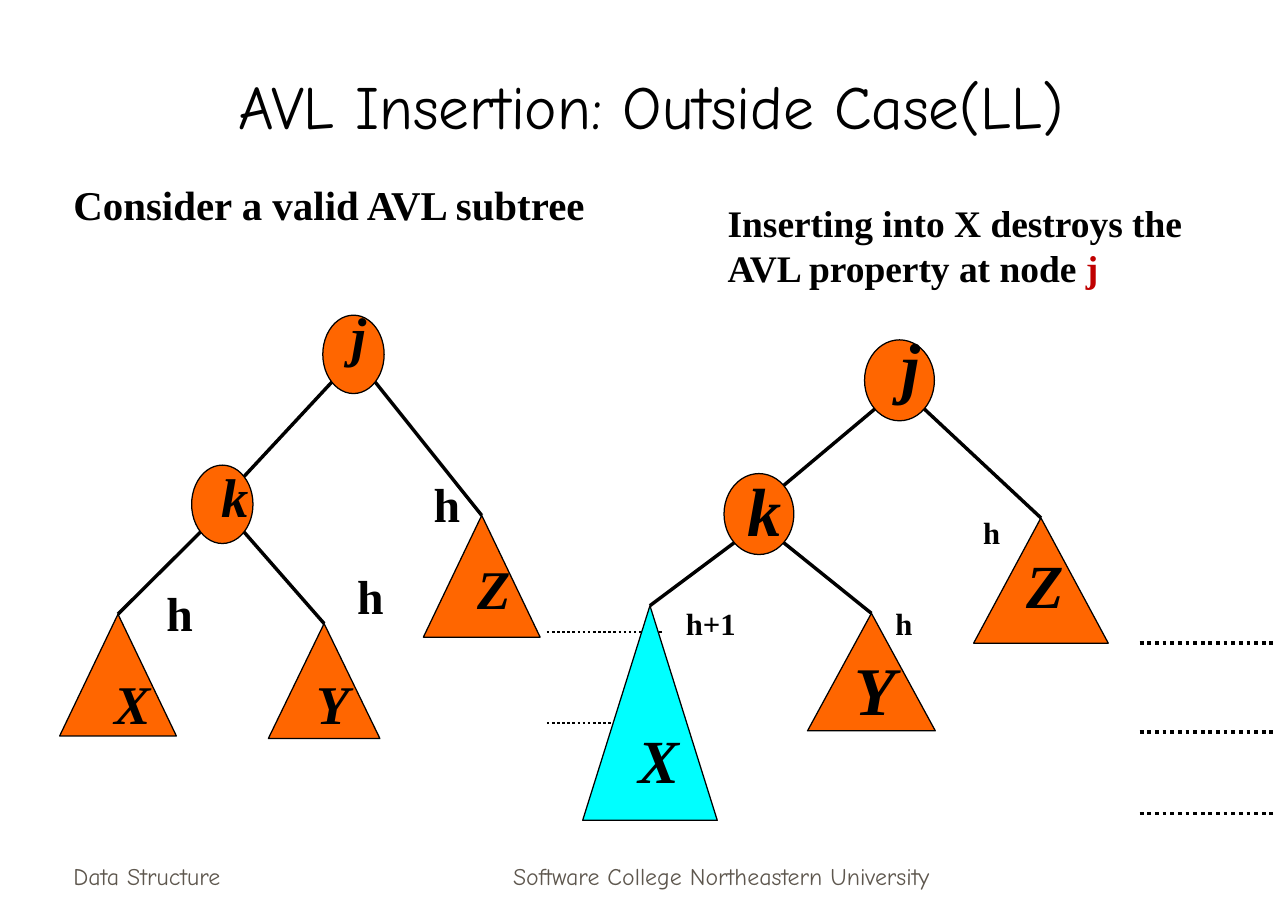
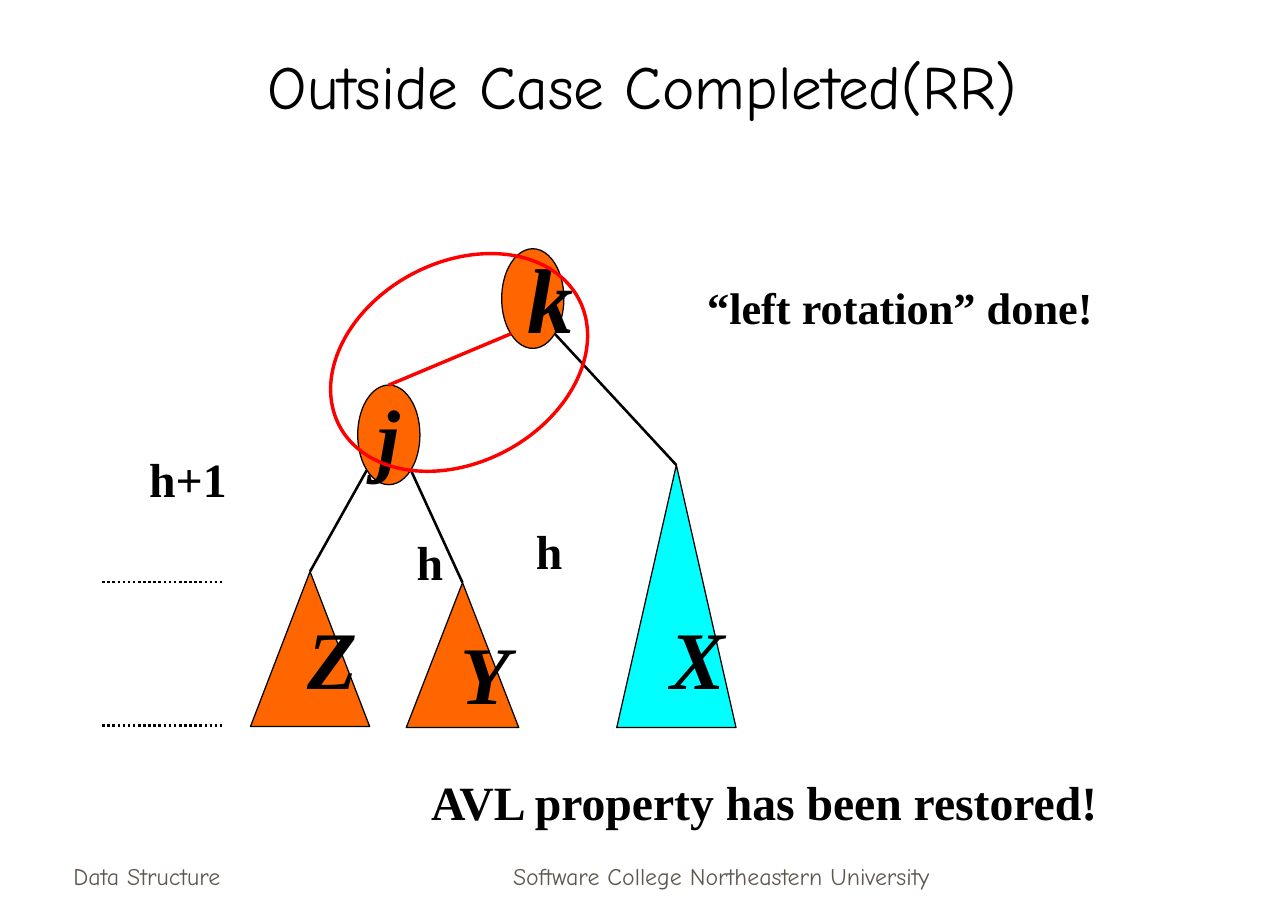
from collections import namedtuple
from math import sqrt

from lxml import etree
from pptx import Presentation
from pptx.dml.color import RGBColor
from pptx.enum import dml, shapes, text
from pptx.oxml import ns
from pptx.util import Pt

BLACK = RGBColor(0, 0, 0)
GRAY = RGBColor(0x5E, 0x57, 0x4E)
ORANGE = RGBColor(0xFF, 0x66, 0)
CYAN = RGBColor(0, 0xFF, 0xFF)
RED = RGBColor(0xFF, 0, 0)
CRIMSON = RGBColor(0xC0, 0, 0)
HAND = "Comic Neue"
SERIF = "Times New Roman"
LEFT, CENTER = text.PP_ALIGN.LEFT, text.PP_ALIGN.CENTER
TOP, BOTTOM = text.MSO_ANCHOR.TOP, text.MSO_ANCHOR.BOTTOM
OVAL = shapes.MSO_SHAPE.OVAL
CONE = shapes.MSO_SHAPE.ISOSCELES_TRIANGLE

Node = namedtuple("Node", "name x y w h size shift")
Leaf = namedtuple("Leaf", "name x y w h size shift fill label gap")


def write(frame, words, size=24, font=SERIF, color=BLACK, bold=True,
          italic=False, align=LEFT, anchor=TOP, wrap=True):
    """Add a formatted run to the first paragraph of a text frame."""
    frame.word_wrap = wrap
    frame.vertical_anchor = anchor
    para = frame.paragraphs[0]
    para.alignment = align
    run = para.add_run()
    run.text = words
    run.font.name, run.font.size = font, Pt(size)
    run.font.bold, run.font.italic = bold, italic
    run.font.color.rgb = color


def place(slide, words, x, y, w, h, **style):
    """Add a text box and return its frame."""
    frame = slide.shapes.add_textbox(Pt(x), Pt(y), Pt(w), Pt(h)).text_frame
    write(frame, words, **style)
    return frame


def draw(slide, kind, x, y, w, h, fill=None, line=BLACK, weight=0.75):
    """Add an outlined preset shape, filled or hollow."""
    shape = slide.shapes.add_shape(kind, Pt(x), Pt(y), Pt(w), Pt(h))
    shape.shadow.inherit = False
    if fill is None:
        shape.fill.background()
    else:
        shape.fill.solid()
        shape.fill.fore_color.rgb = fill
    shape.line.color.rgb = line
    shape.line.width = Pt(weight)
    return shape


def link(slide, start, end, weight=2, color=BLACK, dots=False):
    """Add a straight line between two points."""
    line = slide.shapes.add_connector(
        shapes.MSO_CONNECTOR.STRAIGHT, *(Pt(n) for n in (*start, *end)))
    line.line.color.rgb = color
    line.line.width = Pt(weight)
    if dots:
        line.line.dash_style = dml.MSO_LINE.ROUND_DOT
    etree.SubElement(line._element.spPr, ns.qn("a:effectLst"))


def corner(node, right, down):
    """Give the diagonal point of an oval, with each side as 1 or -1."""
    return (node.x + node.w / 2 * (1 + right / sqrt(2)),
            node.y + node.h / 2 * (1 + down / sqrt(2)))


def apex(part):
    """Give the top middle point of a part."""
    return part.x + part.w / 2, part.y


def mark(slide, part, shape):
    """Letter a tree part, beside its shape's corner or centred inside it."""
    style = dict(size=part.size, italic=True)
    if part.shift is None:
        write(shape.text_frame, part.name, align=CENTER, wrap=False,
              anchor=text.MSO_ANCHOR.MIDDLE, **style)
    else:
        dx, dy = part.shift
        place(slide, part.name, part.x + dx, part.y + dy,
              22, part.size * 1.15 + 7.2, **style)


def tree(slide, box, root, inner, leaves, levels, span,
         label=28, weight=2, dot=1.5, turned=False):
    """Draw two nodes, three subtrees and dotted levels from a box corner."""
    left, top = box
    root, inner, *leaves = (
        part._replace(x=left + part.x, y=top + part.y)
        for part in (root, inner, *leaves))
    first, mid, last = leaves
    for node in (root, inner):
        mark(slide, node, draw(slide, OVAL, *node[1:5], fill=ORANGE))
    for leaf in leaves:
        mark(slide, leaf, draw(slide, CONE, *leaf[1:5], fill=leaf.fill))
        dx, dy = leaf.gap
        place(slide, leaf.label, leaf.x + dx, leaf.y + dy,
              label * len(leaf.label) * 0.56 + 14.4, label * 1.15 + 7.2,
              size=label, wrap=False)
    for node, side, child in ((inner, -1, first), (inner, 1, mid),
                              (root, 1, last)):
        link(slide, corner(node, side, 1), apex(child), weight)
    link(slide, corner(root, -1, 1),
         apex(inner) if turned else corner(inner, 1, -1),
         2, RED if turned else BLACK)
    for level in levels:
        link(slide, *((left + x, top + level) for x in span),
             weight=dot, dots=True)


def base(deck, title, x, y):
    """Add a blank slide with its title and footers."""
    slide = deck.slides.add_slide(deck.slide_layouts[6])
    plain = dict(font=HAND, bold=False, anchor=BOTTOM)
    foot = dict(size=14, color=GRAY, **plain)
    place(slide, "Data Structure", 36, 490, 158, 36, **foot)
    place(slide, "Software College Northeastern University",
          258.5, 490, 330, 36, align=CENTER, **foot)
    place(slide, title, x, y, 646, 63, size=36, align=CENTER, **plain)
    return slide


def insert(deck):
    """Build the slide with the trees before and after an insertion."""
    slide = base(deck, "AVL Insertion: Outside Case(LL)", 59, 24)
    place(slide, "Consider a valid AVL subtree", 36, 102, 360, 36)
    tree(slide, (35, 174),
         Node("j", 154.5, 11, 36, 46, 32, (10, -11)),
         Node("k", 77.5, 99, 36, 46, 32, (10.5, -5)),
         [Leaf("X", 0, 186.5, 68.5, 71.5, 32, (25, 29.5),
               ORANGE, "h", (55.5, -21.5)),
          Leaf("Y", 122.5, 192, 65.5, 67.5, 32, (21, 24),
               ORANGE, "h", (45, -37)),
          Leaf("Z", 213.5, 128.5, 68.5, 71.5, 32, (24.5, 19.5),
               ORANGE, "h", (-1, -27.5))],
         levels=(197, 250.5), span=(286, 355))
    tree(slide, (342, 186),
         Node("j", 165.5, 13.5, 41, 47.5, 40, (14.5, -13.5)),
         Node("k", 83, 92, 41, 47.5, 40, (6.5, -6.5)),
         [Leaf("X", 0, 169.5, 79, 126, 36, (26, 65),
               CYAN, "h+1", (53.5, -4)),
          Leaf("Y", 132, 174, 75, 69, 40, (20.5, 16.5),
               ORANGE, "h", (44.5, -8.5)),
          Leaf("Z", 229.5, 118, 79, 73.5, 36, (24, 13.5),
               ORANGE, "h", (-1.5, -6))],
         levels=(191.5, 243.5, 291.5), span=(327, 406), label=18, dot=2.25)
    frame = place(slide, "Inserting into X destroys the AVL property at node ",
                  420, 114, 306, 60, size=22)
    write(frame, "j", size=22, color=CRIMSON)


def rotate(deck):
    """Build the slide with the rotated tree."""
    slide = base(deck, "Outside Case Completed(RR)", 54, 12)
    place(slide, "“left rotation” done!", 408, 161, 241, 39,
          size=26, wrap=False)
    place(slide, "AVL property has been restored!", 246, 450, 412, 41,
          size=28, wrap=False)
    tree(slide, (60, 138),
         Node("k", 234.5, 8, 36.5, 58.5, 54, (8, -8)),
         Node("j", 150, 88, 36.5, 58.5, 48, None),
         [Leaf("Z", 87, 197.5, 70, 91, 48, (26.5, 17.5),
               ORANGE, "h+1", (-66.5, -75)),
          Leaf("Y", 178.5, 204, 66, 85, 48, (25, 20),
               ORANGE, "h", (-1, -33)),
          Leaf("X", 302, 135, 70, 154, 48, (24.5, 80),
               CYAN, "h", (-54.5, 29.5))],
         levels=(203.5, 288), span=(0, 71), weight=1.5, turned=True)
    ring = draw(slide, OVAL, 190, 154, 159, 117.5, line=RED, weight=2)
    ring.rotation = 332


def main():
    """Build and save the deck."""
    deck = Presentation()
    deck.slide_width, deck.slide_height = Pt(756), Pt(540)
    insert(deck)
    rotate(deck)
    deck.save("out.pptx")


if __name__ == "__main__":
    main()
